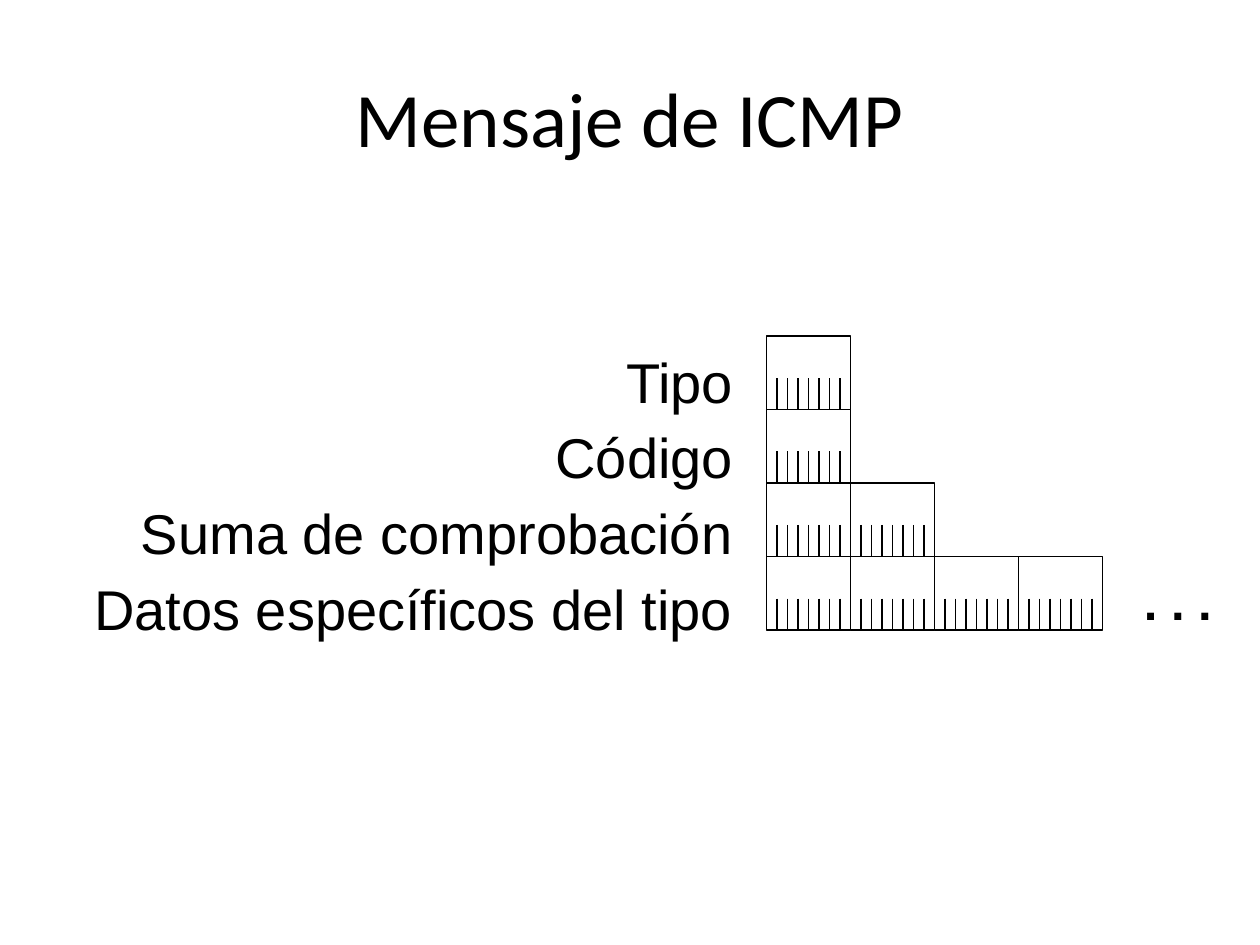
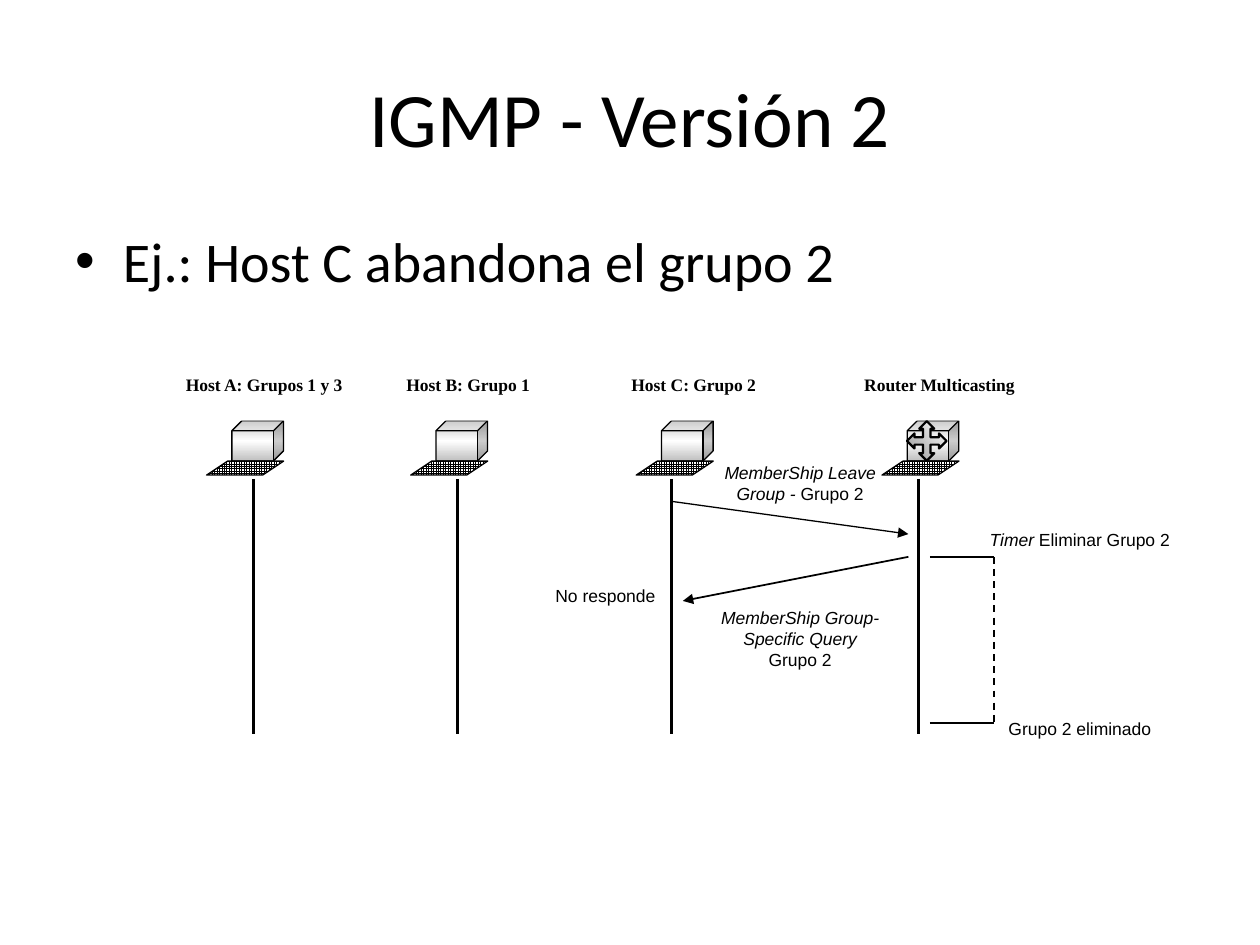
from collections import namedtuple

from lxml import etree
from pptx import Presentation
from pptx.dml.color import RGBColor
from pptx.enum.dml import MSO_LINE, MSO_PATTERN
from pptx.enum.shapes import MSO_CONNECTOR, MSO_SHAPE
from pptx.enum.text import MSO_ANCHOR, MSO_AUTO_SIZE, PP_ALIGN
from pptx.oxml.ns import qn
from pptx.util import Pt

COLORS = {"ink": "000000", "paper": "FFFFFF", "silver": "C0C0C0", "steel": "969696"}
LEFT, CENTER, RIGHT = PP_ALIGN.LEFT, PP_ALIGN.CENTER, PP_ALIGN.RIGHT
RECT, CUBE, SLANT = MSO_SHAPE.RECTANGLE, MSO_SHAPE.CUBE, MSO_SHAPE.PARALLELOGRAM
STRAIGHT, DASH, SMALL_GRID = MSO_CONNECTOR.STRAIGHT, MSO_LINE.DASH, MSO_PATTERN.SMALL_GRID
TOP, MIDDLE = MSO_ANCHOR.TOP, MSO_ANCHOR.MIDDLE
GROW = MSO_AUTO_SIZE.SHAPE_TO_FIT_TEXT
TITLE_ONLY, TITLE_AND_BODY = 5, 1

Box = namedtuple("Box", "left top width height")
TITLE_BOX = Box(36, 21.6, 648, 90)
BODY_BOX = Box(36, 126, 648, 356.4)


# Shared helpers
def rgb(name):
    return RGBColor.from_string(COLORS[name])


def points(box):
    return [Pt(value) for value in box]


def inside(box, left, top, width, height):
    return Box(box.left + left, box.top + top, width, height)


def set_font(font, size, name, bold=None):
    font.size, font.name, font.bold = Pt(size), name, bold
    font.color.rgb = rgb("ink")


def outline(shape, weight):
    shape.line.color.rgb = rgb("ink")
    shape.line.width = Pt(weight)


def add_form(shapes, kind, box, weight=0.75):
    shape = shapes.add_shape(kind, *points(box))
    shape.shadow.inherit = False
    shape.fill.solid()
    shape.fill.fore_color.rgb = rgb("paper")
    if weight:
        outline(shape, weight)
    else:
        shape.line.fill.background()
    return shape


def fill_gradient(shape, stops, angle):
    shape.fill.gradient()
    gradient = shape.element.spPr.find(qn("a:gradFill"))
    stop_list = gradient.find(qn("a:gsLst"))
    for stop in list(stop_list):
        stop_list.remove(stop)
    for position, name in stops:
        stop = etree.SubElement(stop_list, qn("a:gs"), pos=str(position * 1000))
        etree.SubElement(stop, qn("a:srgbClr"), val=COLORS[name])
    gradient.find(qn("a:lin")).set("ang", str(angle * 60000))


def add_line(shapes, start, end, weight=0.75, dashed=False, arrow=False):
    line = shapes.add_connector(STRAIGHT, *points((*start, *end)))
    outline(line, weight)
    if dashed:
        line.line.dash_style = DASH
    properties = line.element.spPr
    if arrow:
        etree.SubElement(properties.find(qn("a:ln")), qn("a:tailEnd"), type="triangle")
    etree.SubElement(properties, qn("a:effectLst"))


def add_text_box(shapes, box, wrap=True):
    frame = shapes.add_textbox(*points(box)).text_frame
    frame.word_wrap = wrap
    frame.auto_size = GROW
    return frame


def fill_placeholder(holder, box, text, size):
    holder.left, holder.top, holder.width, holder.height = points(box)
    holder.text_frame.text = text
    para = holder.text_frame.paragraphs[0]
    set_font(para.font, size, "Calibri")
    return para


def add_page(deck, layout, title):
    page = deck.slides.add_slide(deck.slide_layouts[layout])
    fill_placeholder(page.shapes.title, TITLE_BOX, title, 44).alignment = CENTER
    page.shapes.title.text_frame.vertical_anchor = MIDDLE
    return page


# Message fields: one octet cell per byte, one tick per bit
OCTET_WIDTH, OCTET_HEIGHT, BITS = 48, 42, 8
FIELDS = [("Tipo", 1), ("Código", 1), ("Suma de comprobación", 2),
          ("Datos específicos del tipo", 4)]


def add_octet(shapes, box, closed):
    group = shapes.add_group_shape().shapes
    add_form(group, RECT, box)
    bottom = box.top + box.height
    for bit in range(BITS + closed):
        x = box.left + bit * box.width / BITS
        add_line(group, (x, bottom - 18), (x, bottom))


def add_field_names(shapes, box):
    frame = add_text_box(shapes, box)
    frame.margin_top = Pt(6.4)
    for index, (name, _) in enumerate(FIELDS):
        para = frame.paragraphs[0] if index == 0 else frame.add_paragraph()
        para.text = name
        para.alignment = RIGHT
        if index:
            para.space_before = Pt(4.9)
        set_font(para.font, 32, "Arial")


def add_field_octets(shapes, box):
    for row, (_, count) in enumerate(FIELDS):
        for column in range(count):
            cell = inside(box, column * OCTET_WIDTH, row * OCTET_HEIGHT,
                          OCTET_WIDTH, OCTET_HEIGHT)
            add_octet(shapes, cell, closed=column == count - 1)


def build_message_page(deck):
    page = add_page(deck, TITLE_ONLY, "Mensaje de ICMP")
    add_field_names(page.shapes, Box(24, 192, 402, 172))
    add_field_octets(page.shapes, Box(438, 192, 192, 168))
    para = add_text_box(page.shapes, Box(646.6, 323.3, 53.3, 41), wrap=False).paragraphs[0]
    para.text = ". . ."
    set_font(para.font, 28, "Arial", bold=True)


# Sequence diagram: (label, column offset, lifeline offset inside the column)
HOSTS = [("Host A: Grupos 1 y 3", 0, 49), ("Host B: Grupo 1", 116.6, 49),
         ("Host C: Grupo 2", 245.5, 42.5), ("Router Multicasting", 385.9, 43.2)]
# Notes: (offset box, alignment, wrap, lines of (text, italic))
NOTES = [
    ((300.2, 133.2, 122.4, 43.2), CENTER, True,
     [[("MemberShip Group-Specific Query", True)], [("Grupo 2", False)]]),
    ((300.2, 50.4, 122.4, 31), CENTER, True,
     [[("MemberShip Leave Group -", True), (" Grupo 2", False)]]),
    ((214.5, 120.3, 71.3, 19.4), LEFT, False, [[("No responde", False)]]),
    ((460, 88.6, 122.4, 19.4), CENTER, True,
     [[("Timer ", True), ("Eliminar Grupo 2", False)]]),
    ((460, 196.6, 122.4, 19.4), CENTER, True, [[("Grupo 2 eliminado", False)]]),
]


def add_host(shapes, box, label, lifeline):
    x = box.left + lifeline
    add_line(shapes, (x, box.top + 63.4), (x, box.top + box.height), 1.5)
    monitor = add_form(shapes, CUBE, inside(box, 36.7, 30.2, 29.5, 23))
    fill_gradient(monitor, [(0, "silver"), (50, "paper"), (100, "silver")], 90)
    keyboard = add_form(shapes, SLANT, inside(box, 22.3, 53.3, 44, 8))
    keyboard.adjustments[0] = 1.5
    keyboard.fill.patterned()
    keyboard.fill.pattern = SMALL_GRID
    keyboard.fill.fore_color.rgb = rgb("ink")
    keyboard.fill.back_color.rgb = rgb("paper")
    frame = add_form(shapes, RECT, inside(box, 0, 0, box.width, 30.2), weight=0).text_frame
    frame.vertical_anchor = TOP
    para = frame.paragraphs[0]
    para.text = label
    para.alignment = CENTER
    set_font(para.font, 10, "Times New Roman", bold=True)


def add_router_cross(shapes, x, y):
    """Four-way arrow centred on x, y: one arm turned four times."""
    arm = [(0, -11.3), (-4.3, -7), (-2.1, -7), (-2.1, -2.1), (-7, -2.1), (-7, -4.3)]
    corners = []
    for _ in range(4):
        corners += arm
        arm = [(dy, -dx) for dx, dy in arm]
    corners = [(Pt(x + dx), Pt(y + dy)) for dx, dy in corners]
    builder = shapes.build_freeform(*corners[0])
    builder.add_line_segments(corners[1:], close=True)
    cross = builder.convert_to_shape()
    cross.shadow.inherit = False
    fill_gradient(cross, [(0, "steel"), (100, "paper")], 315)
    outline(cross, 1.25)


def add_note(shapes, box, alignment, wrap, lines):
    para = add_text_box(shapes, box, wrap).paragraphs[0]
    para.alignment = alignment
    for index, spans in enumerate(lines):
        if index:
            para.add_line_break()
        for text, italic in spans:
            span = para.add_run()
            span.text = text
            span.font.italic = italic
    set_font(para.font, 10, "Arial")


def add_sequence(shapes, box):
    def at(x, y):
        return box.left + x, box.top + y

    for label, offset, lifeline in HOSTS:
        add_host(shapes, inside(box, offset, 0, 110.2, box.height), label, lifeline)
    add_router_cross(shapes, *at(433.8, 41.8))

    # Messages between host C and the router
    add_line(shapes, at(423.3, 108), at(294.4, 133.2), 1, arrow=True)
    add_line(shapes, at(288, 76.3), at(423.3, 95), arrow=True)

    # Timer bracket
    for y in (108, 203):
        add_line(shapes, at(435.6, y), at(472.3, y), 1)
    add_line(shapes, at(472.3, 108), at(472.3, 203), 1, dashed=True)

    for offsets, alignment, wrap, lines in NOTES:
        add_note(shapes, inside(box, *offsets), alignment, wrap, lines)


def build_leave_page(deck):
    page = add_page(deck, TITLE_AND_BODY, "IGMP - Versión 2")
    fill_placeholder(page.placeholders[1], BODY_BOX, "Ej.: Host C abandona el grupo 2", 32)
    diagram = page.shapes.add_group_shape().shapes
    add_sequence(diagram, Box(95.8, 210.2, 582.4, 209.5))


def main():
    deck = Presentation()
    deck.slide_width, deck.slide_height = Pt(720), Pt(540)
    build_message_page(deck)
    build_leave_page(deck)
    deck.save("out.pptx")


if __name__ == "__main__":
    main()
